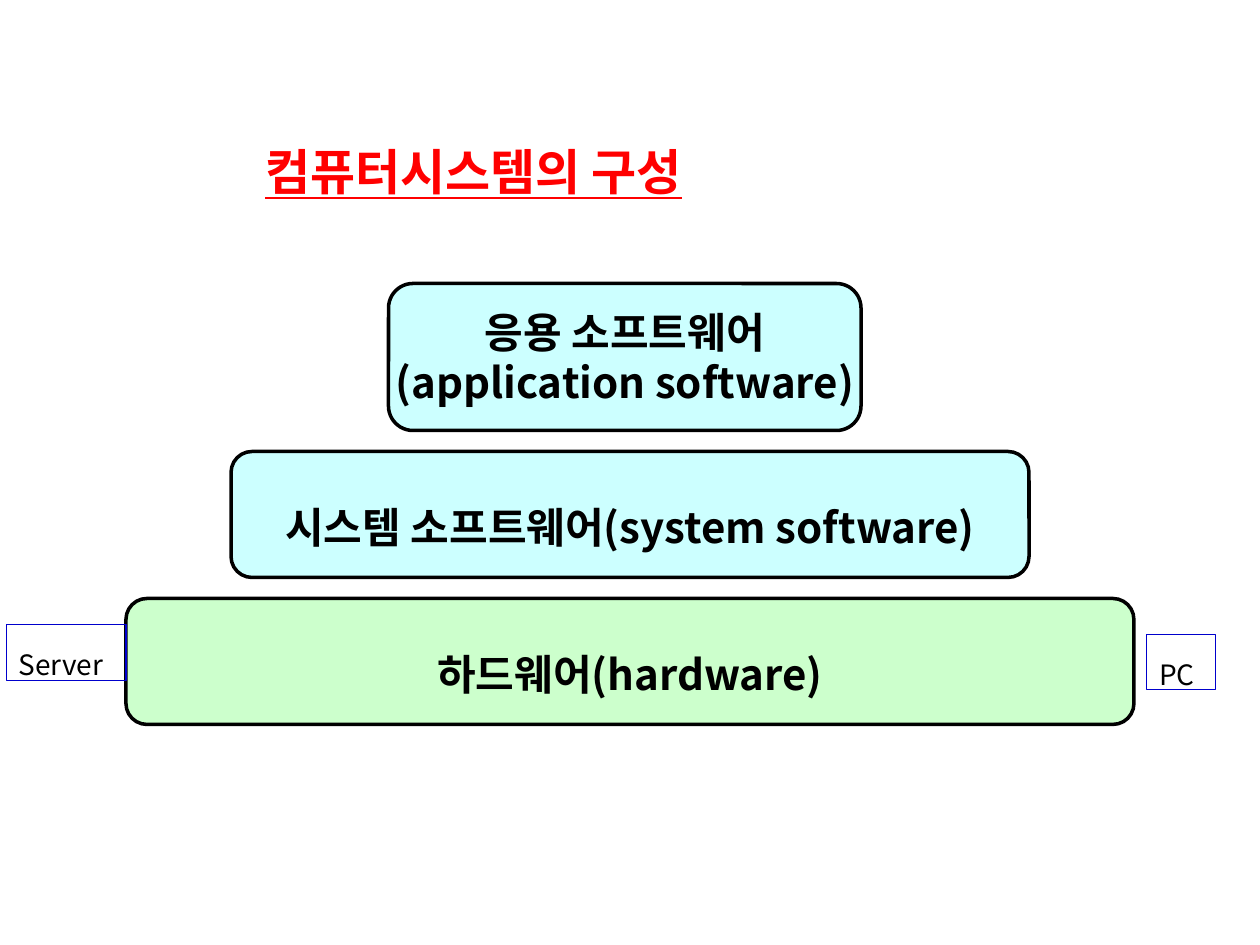
from lxml.etree import SubElement
from pptx import Presentation
from pptx.dml.color import RGBColor
from pptx.enum.shapes import MSO_SHAPE
from pptx.enum.text import MSO_ANCHOR, MSO_AUTO_SIZE, PP_ALIGN
from pptx.oxml.ns import qn
from pptx.util import Inches, Pt

FONT = "Noto Sans CJK KR"
CELL = Inches(10) / 120  # the slide is a grid of 120 columns and 90 rows


def grid(*cells):
    return [round(n * CELL) for n in cells]


def write(shape, text, size, hue, frame, para, font):
    """Fill a shape with one styled paragraph; the dicts hold format values."""
    body = shape.text_frame
    line = body.paragraphs[0]
    line.text = text
    for item, looks in ((body, frame), (line, para)):
        for key, value in looks.items():
            setattr(item, key, value)
    for run in line.runs:
        run.font.size = Pt(size)
        run.font.name = FONT
        run.font.color.rgb = RGBColor.from_string(hue)
        for key, value in font.items():
            setattr(run.font, key, value)
        SubElement(run.font._element, qn("a:ea")).set("typeface", FONT)


deck = Presentation()
deck.slide_width, deck.slide_height = grid(120, 90)
slide = deck.slides.add_slide(deck.slide_layouts[6])

# Layers of the system, from the bottom up
stack = slide.shapes.add_group_shape()
layers = [
    ("하드웨어(hardware)", (12, 57, 96, 12), "CCFFCC", 1.5),
    ("시스템 소프트웨어(system software)", (22, 43, 76, 12), "CCFFFF", 1.5),
    ("응용 소프트웨어\v(application software)", (37, 27, 45, 14), "CCFFFF", 1.0),
]
for text, place, hue, gap in layers:
    box = stack.shapes.add_shape(MSO_SHAPE.ROUNDED_RECTANGLE, *grid(*place))
    box.shadow.inherit = False
    box.fill.solid()
    box.fill.fore_color.rgb = RGBColor.from_string(hue)
    box.line.color.rgb = RGBColor.from_string("000000")
    box.line.width = Pt(2)
    write(box, text, 24, "000000",
          {"word_wrap": False, "vertical_anchor": MSO_ANCHOR.MIDDLE},
          {"alignment": PP_ALIGN.CENTER, "line_spacing": gap, "space_before": Pt(4.8)},
          {"bold": True})

title = slide.shapes.add_textbox(*grid(24.1, 10.1, 45.2, 9.6))
write(title, "컴퓨터시스템의 구성", 28, "FF0000",
      {"word_wrap": False, "auto_size": MSO_AUTO_SIZE.SHAPE_TO_FIT_TEXT},
      {"line_spacing": 1.5, "space_before": Pt(5.6)},
      {"bold": True, "underline": True})

# Kinds of hardware, on either side of the bottom layer
for text, place in (("PC", (109.2, 60.4, 6.6, 5.3)), ("Server", (0.6, 59.5, 11.4, 5.3))):
    tag = slide.shapes.add_textbox(*grid(*place))
    tag.line.color.rgb = RGBColor.from_string("0000CC")
    tag.line.width = Pt(0.75)
    write(tag, text, 16, "000000",
          {"word_wrap": True, "auto_size": MSO_AUTO_SIZE.SHAPE_TO_FIT_TEXT},
          {"line_spacing": 1.5}, {})

deck.save("out.pptx")
